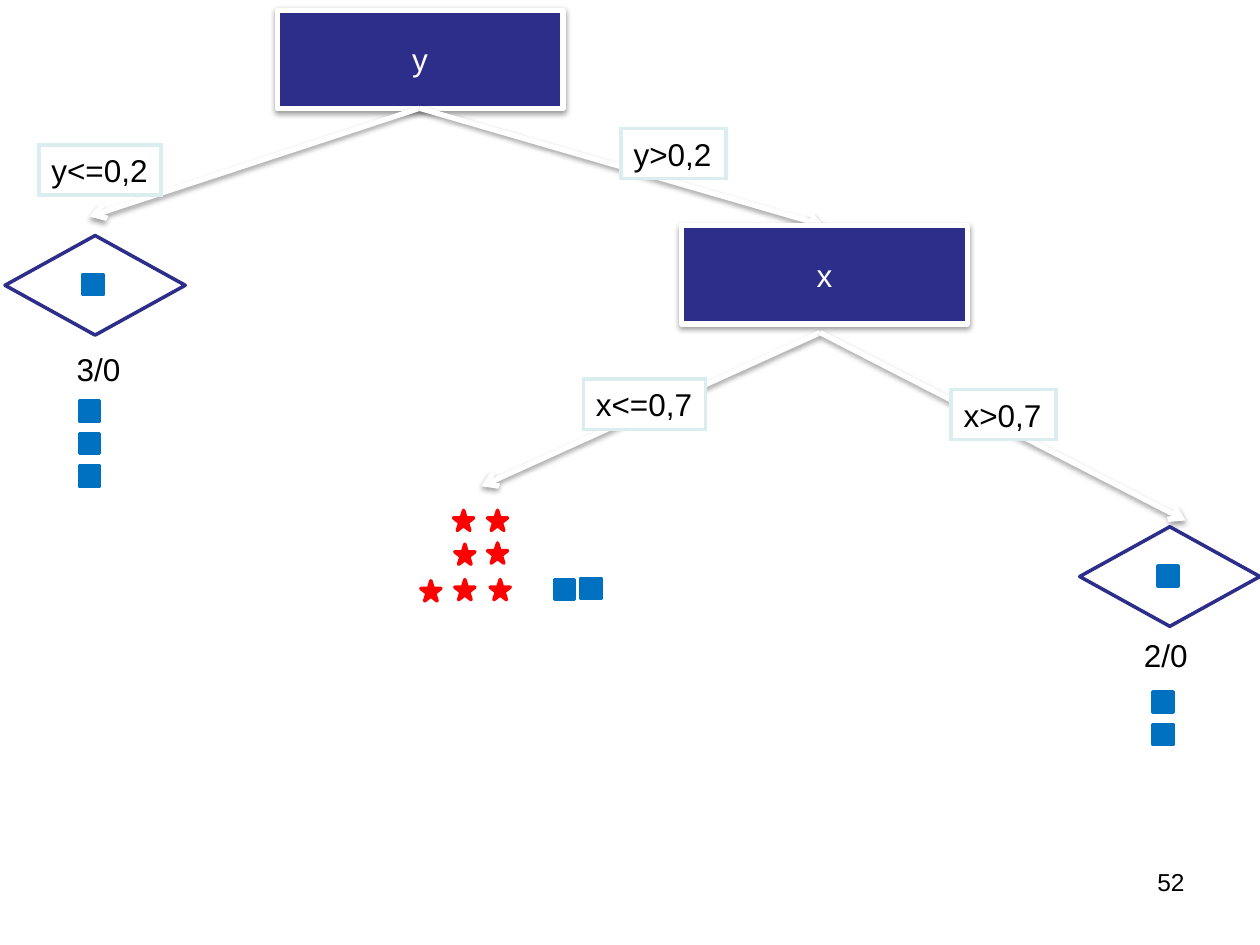
import pptx
import pptx.util
import pptx.dml.color
import pptx.enum.shapes
import pptx.enum.text
import pptx.oxml
import pptx.oxml.ns

Pt = pptx.util.Pt
KIND = pptx.enum.shapes.MSO_SHAPE
ALIGN = pptx.enum.text.PP_ALIGN
ANCHOR = pptx.enum.text.MSO_ANCHOR

THEME = {
    "font": "Arial", "body": 18, "small": 14,
    "white": "FFFFFF", "black": "000000", "navy": "2D2D8A",
    "pale": "DAEDEF", "blue": "0070C0", "red": "FF0000",
}
NODE, LEAF, MARK = (163.4, 56.2), (103, 56.9), 11.5
LABEL_H = 28.8

# Each split: name, corner, arrow start, arrow ends, branch labels (text, left, top, width)
SPLITS = [
    ("y", (158.4, 5.8), (239.8, 61.9), [(51.1, 123.8), (470.9, 128.9)],
     [("y<=0,2", 22.3, 82.8, 69.8), ("y>0,2", 355, 73.4, 59.8)]),
    ("x", (389.5, 128.9), (468.7, 190.1), [(275, 277.9), (677.5, 297.4)],
     [("x<=0,7", 333.4, 216.7, 69.8), ("x>0,7", 543.6, 222.5, 59.8)]),
]
# Each leaf: count, corner, text corner, first mark below, number of marks
LEAVES = [
    ("3/0", (2.9, 134.6), (36.7, 196.6), (45.4, 229), 3),
    ("2/0", (617, 301), (646.6, 360), (658.8, 395.3), 2),
]
MARK_STEP = 18.7
# Mixed group still to be split
STARS = [(259.2, 291.6), (278.6, 291.6), (259.9, 311), (278.6, 310.3),
         (240.5, 331.9), (259.9, 331.2), (280.1, 331.2)]
SQUARES = [(316.8, 331.2), (331.9, 330.5)]
PAGE = ("52", 516.2, 491.8, 167.8, 37.4)

SHADOW = """<a:effectLst %s><a:outerShdw blurRad="40000" dist="20000" dir="5400000"
 rotWithShape="0"><a:srgbClr val="000000"><a:alpha val="38000"/></a:srgbClr>
 </a:outerShdw></a:effectLst>""" % pptx.oxml.ns.nsdecls("a")

deck = pptx.Presentation()
deck.slide_width, deck.slide_height = Pt(720), Pt(540)
slide = deck.slides.add_slide(deck.slide_layouts[6])
shapes = slide.shapes


def tint(name):
    return pptx.dml.color.RGBColor.from_string(THEME[name])


def extend(parent, tag, **attrs):
    node = pptx.oxml.parse_xml("<a:%s %s/>" % (tag, pptx.oxml.ns.nsdecls("a")))
    for key, val in attrs.items():
        node.set(key, val)
    parent.append(node)


def cast(shape):
    shape._element.spPr.append(pptx.oxml.parse_xml(SHADOW))


def write(shape, text, color="black", size="body", align=ALIGN.LEFT,
          anchor=ANCHOR.TOP, wrap=True):
    frame = shape.text_frame
    frame.text = text
    frame.word_wrap, frame.vertical_anchor = wrap, anchor
    para = frame.paragraphs[0]
    para.alignment = align
    font = para.runs[0].font
    font.name, font.size = THEME["font"], Pt(THEME[size])
    font.color.rgb = tint(color)


def draw(kind, left, top, width, height, fill, line, weight=2):
    shape = shapes.add_shape(kind, Pt(left), Pt(top), Pt(width), Pt(height))
    shape.fill.solid()
    shape.fill.fore_color.rgb = tint(fill)
    shape.line.color.rgb = tint(line)
    shape.line.width = Pt(weight)
    return shape


def mark(left, top, kind=KIND.RECTANGLE, color="blue"):
    draw(kind, left, top, MARK, MARK, color, color).shadow.inherit = False


def arrow(start, end):
    line = shapes.add_connector(pptx.enum.shapes.MSO_CONNECTOR.STRAIGHT,
                                *(Pt(v) for v in start + end))
    line.line.color.rgb = tint("white")
    line.line.width = Pt(3)
    extend(line.line._get_or_add_ln(), "tailEnd", type="arrow")
    cast(line)


def note(text, left, top, width, height, **style):
    box = shapes.add_textbox(Pt(left), Pt(top), Pt(width), Pt(height))
    write(box, text, **style)


# Decision nodes with their branches
for name, spot, start, ends, labels in SPLITS:
    node = draw(KIND.RECTANGLE, *spot, *NODE, "navy", "white", 3)
    cast(node)
    write(node, name, "white", align=ALIGN.CENTER, anchor=ANCHOR.MIDDLE)
    for end in ends:
        arrow(start, end)
    for text, left, top, width in labels:
        label = draw(KIND.RECTANGLE, left, top, width, LABEL_H, "white", "pale")
        label.shadow.inherit = False
        extend(label.line._get_or_add_ln(), "miter", lim="800000")
        write(label, text, wrap=False)

# Leaves with their counts and members
for count, (left, top), spot, (col, row), total in LEAVES:
    draw(KIND.DIAMOND, left, top, *LEAF, "white", "navy").shadow.inherit = False
    mark(left + 44.6, top + 22.3)
    note(count, *spot, 121.7, LABEL_H)
    for i in range(total):
        mark(col, row + i * MARK_STEP)

# Mixed group
for spot in STARS:
    mark(*spot, KIND.STAR_5_POINT, "red")
for spot in SQUARES:
    mark(*spot)

# Page number
note(*PAGE, size="small", align=ALIGN.RIGHT)

deck.save("out.pptx")
